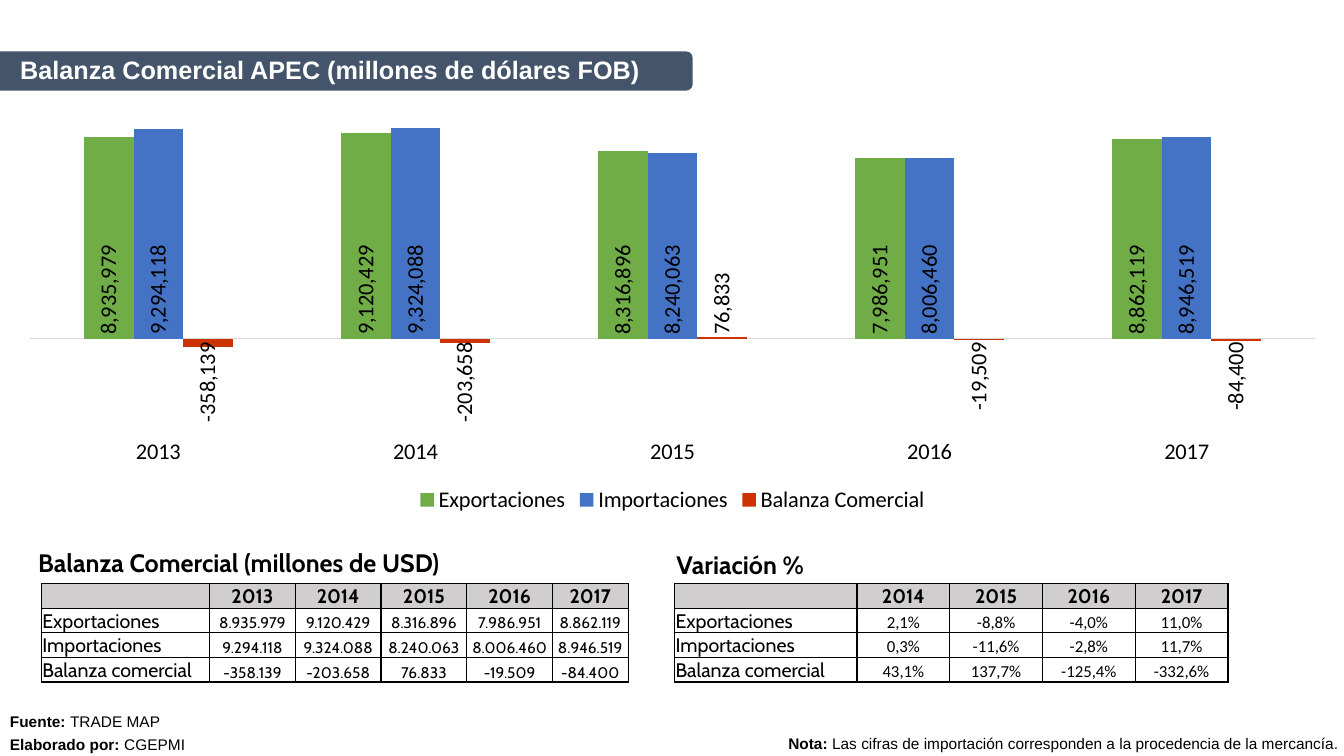
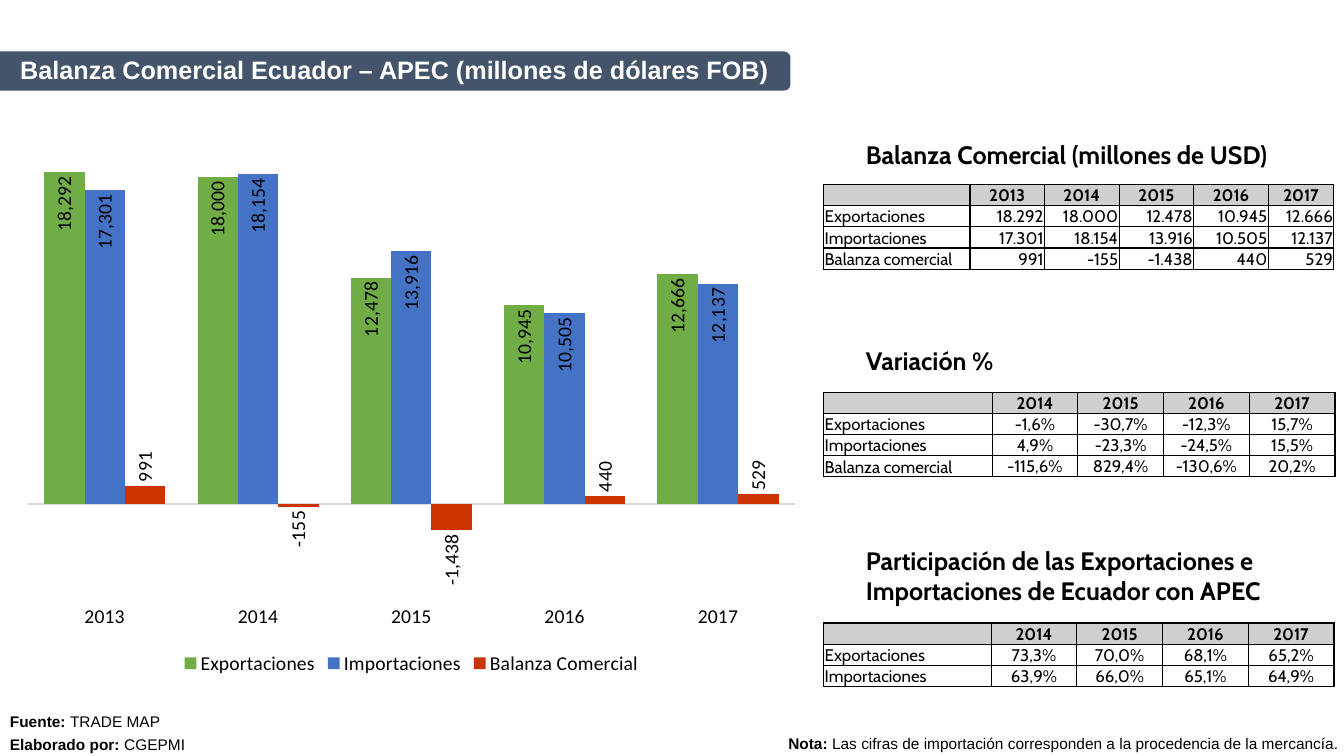
from dataclasses import dataclass

import pptx
import pptx.chart.data
import pptx.dml.color
import pptx.enum.chart
import pptx.enum.shapes
import pptx.enum.text
import pptx.oxml.ns
import pptx.util
from lxml import etree

Inches = pptx.util.Inches
Pt = pptx.util.Pt
Align = pptx.enum.text.PP_ALIGN
Anchor = pptx.enum.text.MSO_ANCHOR
LabelPosition = pptx.enum.chart.XL_LABEL_POSITION
qn = pptx.oxml.ns.qn


@dataclass(frozen=True)
class Theme:
    black: str = "000000"
    white: str = "FFFFFF"
    band: str = "44546A"
    header: str = "D0CECE"
    axis: str = "D9D9D9"
    series: tuple[str, ...] = ("70AD47", "4472C4", "CC3300")
    title_font: str = "Arial"
    table_font: str = "Cabin"
    chart_font: str = "Calibri"
    heading_size: int = 18
    footer_size: int = 11


@dataclass(frozen=True)
class Heading:
    text: str
    left: float
    top: float
    height: float = 0.4


@dataclass(frozen=True)
class Grid:
    """A table: years across the top, one named row of values per flow."""
    left: float
    top: float
    height: float
    widths: list[float]
    years: list[str]
    rows: list[list[str]]
    label_size: int = 12
    value_size: int = 12
    value_font: str = "Cabin"
    value_align: Align = Align.CENTER


@dataclass(frozen=True)
class ColumnChart:
    left: float
    top: float
    width: float
    height: float
    values: list[list[int]]
    label_positions: list[LabelPosition]
    text_size: int
    gap: int
    minimum: int | None = None


@dataclass(frozen=True)
class TradePage:
    title: str
    band_width: float
    chart: ColumnChart
    headings: list[Heading]
    grids: list[Grid]


THEME = Theme()
YEARS = ["2013", "2014", "2015", "2016", "2017"]
SERIES_NAMES = ["Exportaciones", "Importaciones", "Balanza Comercial"]
ROW_NAMES = ["Exportaciones", "Importaciones", "Balanza comercial"]
BAND_TOP, BAND_HEIGHT = 0.51, 0.39
THOUSAND = 1000

APEC_TRADE = [
    [8935979, 9120429, 8316896, 7986951, 8862119],
    [9294118, 9324088, 8240063, 8006460, 8946519],
    [-358139, -203658, 76833, -19509, -84400],
]
ECUADOR_TRADE = [
    [18292, 18000, 12478, 10945, 12666],
    [17301, 18154, 13916, 10505, 12137],
    [991, -155, -1438, 440, 529],
]


def dotted(values: list[list[int]]) -> list[list[str]]:
    """Write numbers with a point between thousands."""
    return [[f"{value:,}".replace(",", ".") for value in row] for row in values]


PAGES = [
    TradePage(
        title="Balanza Comercial APEC (millones de dólares FOB)",
        band_width=6.87,
        chart=ColumnChart(0.03, 1.04, 13.28, 4.1, APEC_TRADE,
                          [LabelPosition.INSIDE_BASE] * 3, 16, 219, -4000000),
        headings=[
            Heading("Balanza Comercial (millones de USD)", 0.28, 5.38),
            Heading("Variación %", 6.61, 5.4),
        ],
        grids=[
            Grid(0.41, 5.79, 0.97, [1.67] + [0.85] * 4 + [0.75], YEARS,
                 dotted(APEC_TRADE), label_size=14, value_size=11),
            Grid(6.69, 5.79, 0.97, [1.81] + [0.92] * 4, YEARS[1:], [
                ["2,1%", "-8,8%", "-4,0%", "11,0%"],
                ["0,3%", "-11,6%", "-2,8%", "11,7%"],
                ["43,1%", "137,7%", "-125,4%", "-332,6%"],
            ], label_size=14, value_font=THEME.chart_font),
        ],
    ),
    TradePage(
        title="Balanza Comercial Ecuador – APEC (millones de dólares FOB)",
        band_width=7.84,
        chart=ColumnChart(0.12, 1.29, 7.92, 5.45, ECUADOR_TRADE,
                          [LabelPosition.INSIDE_END] * 2 + [LabelPosition.OUTSIDE_END],
                          14, 80),
        headings=[
            Heading("Balanza Comercial (millones de USD)", 8.49, 1.33),
            Heading("Variación %", 8.49, 3.38),
            Heading("Participación de las Exportaciones e Importaciones de Ecuador con APEC",
                    8.49, 5.36, 0.71),
        ],
        grids=[
            Grid(8.17, 1.83, 0.84, [1.45] + [0.74] * 4 + [0.65], YEARS,
                 dotted(ECUADOR_TRADE), value_align=Align.RIGHT),
            Grid(8.17, 3.89, 0.84, [1.67] + [0.85] * 4, YEARS[1:], [
                ["-1,6%", "-30,7%", "-12,3%", "15,7%"],
                ["4,9%", "-23,3%", "-24,5%", "15,5%"],
                ["-115,6%", "829,4%", "-130,6%", "20,2%"],
            ]),
            Grid(8.17, 6.18, 0.63, [1.66] + [0.85] * 4, YEARS[1:], [
                ["73,3%", "70,0%", "68,1%", "65,2%"],
                ["63,9%", "66,0%", "65,1%", "64,9%"],
            ]),
        ],
    ),
]


def rgb(color: str) -> pptx.dml.color.RGBColor:
    return pptx.dml.color.RGBColor.from_string(color)


def style_font(font, name: str, size: int, color: str = THEME.black, bold: bool = False) -> None:
    font.name = name
    font.size = Pt(size)
    font.bold = bold
    font.color.rgb = rgb(color)


def add_text_box(page, left: float, top: float, width: float, height: float):
    frame = page.shapes.add_textbox(
        Inches(left), Inches(top), Inches(width), Inches(height)).text_frame
    frame.word_wrap = True
    return frame


def add_title(page, title: str, band_width: float) -> None:
    """Draw the band, a tall shape turned so its round end is at the right, and its title."""
    band = page.shapes.add_shape(
        pptx.enum.shapes.MSO_SHAPE.ROUND_2_SAME_RECTANGLE,
        Inches((band_width - BAND_HEIGHT) / 2),
        Inches(BAND_TOP + (BAND_HEIGHT - band_width) / 2),
        Inches(BAND_HEIGHT), Inches(band_width))
    band.rotation = 90
    band.shadow.inherit = False
    band.fill.solid()
    band.fill.fore_color.rgb = rgb(THEME.band)
    band.line.fill.background()
    frame = add_text_box(page, 0.12, 0.5, band_width - 0.12, 0.4)
    frame.word_wrap = False
    frame.margin_left = frame.margin_right = Inches(0.08)
    frame.margin_top = frame.margin_bottom = Inches(0.04)
    frame.text = title
    style_font(frame.paragraphs[0].runs[0].font, THEME.title_font,
               THEME.heading_size, THEME.white, True)


def add_heading(page, heading: Heading) -> None:
    frame = add_text_box(page, heading.left, heading.top, 4.53, heading.height)
    frame.text = heading.text
    style_font(frame.paragraphs[0].runs[0].font, THEME.table_font,
               THEME.heading_size, bold=True)


def add_labelled_text(paragraph, label: str, text: str) -> None:
    for words, bold in ((label, True), (text, False)):
        span = paragraph.add_run()
        span.text = words
        style_font(span.font, THEME.title_font, THEME.footer_size, bold=bold)


def add_footer(page) -> None:
    note = add_text_box(page, 7.72, 7.23, 5.61, 0.27)
    note.margin_right = 0
    add_labelled_text(note.paragraphs[0], "Nota: ",
                      "Las cifras de importación corresponden a la procedencia de la mercancía.")
    source = add_text_box(page, 0, 7.02, 3.01, 0.48)
    add_labelled_text(source.paragraphs[0], "Fuente: ", "TRADE MAP")
    author = source.add_paragraph()
    author.space_before = Pt(2.7)
    add_labelled_text(author, "Elaborado por: ", "CGEPMI")


def add_borders(cell) -> None:
    properties = cell._tc.get_or_add_tcPr()
    for index, side in enumerate(("a:lnL", "a:lnR", "a:lnT", "a:lnB")):
        line = etree.Element(qn(side), w=str(Pt(1)))
        fill = etree.SubElement(line, qn("a:solidFill"))
        etree.SubElement(fill, qn("a:srgbClr"), val=THEME.black)
        properties.insert(index, line)


def fill_cell(cell, text: str, font: str, size: int, align: Align,
              anchor: Anchor, header: bool) -> None:
    cell.margin_left = cell.margin_right = cell.margin_top = Inches(0.01)
    cell.margin_bottom = 0
    cell.vertical_anchor = anchor
    if header:
        cell.fill.solid()
        cell.fill.fore_color.rgb = rgb(THEME.header)
    else:
        cell.fill.background()
    add_borders(cell)
    paragraph = cell.text_frame.paragraphs[0]
    paragraph.alignment = align
    if text:
        paragraph.text = text
        style_font(paragraph.runs[0].font, font, size, bold=header)
    else:
        etree.SubElement(paragraph._p, qn("a:endParaRPr"), sz=str(size * 100))


def add_grid(page, grid: Grid) -> None:
    row_count = len(grid.rows) + 1
    table = page.shapes.add_table(
        row_count, len(grid.widths), Inches(grid.left), Inches(grid.top),
        Inches(sum(grid.widths)), Inches(grid.height)).table
    table.first_row = table.horz_banding = False
    for column, width in zip(table.columns, grid.widths):
        column.width = Inches(width)
    for row in table.rows:
        row.height = Inches(grid.height / row_count)
    lines = [["", *grid.years]] + [[name, *row] for name, row in zip(ROW_NAMES, grid.rows)]
    for row_index, line in enumerate(lines):
        for column_index, text in enumerate(line):
            cell = table.cell(row_index, column_index)
            if row_index == 0:
                fill_cell(cell, text, THEME.table_font, grid.label_size,
                          Align.CENTER, Anchor.MIDDLE, True)
            elif column_index == 0:
                fill_cell(cell, text, THEME.table_font, grid.label_size,
                          Align.LEFT, Anchor.MIDDLE, False)
            else:
                fill_cell(cell, text, grid.value_font, grid.value_size,
                          grid.value_align, Anchor.BOTTOM, False)


def add_column_chart(page, design: ColumnChart) -> None:
    data = pptx.chart.data.CategoryChartData(number_format="#,###,")
    data.categories = YEARS
    for name, values in zip(SERIES_NAMES, design.values):
        data.add_series(name, [value * THOUSAND for value in values])
    chart = page.shapes.add_chart(
        pptx.enum.chart.XL_CHART_TYPE.COLUMN_CLUSTERED,
        Inches(design.left), Inches(design.top),
        Inches(design.width), Inches(design.height), data).chart
    chart.has_title = False
    style_font(chart.font, THEME.chart_font, design.text_size)
    chart.has_legend = True
    chart.legend.position = pptx.enum.chart.XL_LEGEND_POSITION.BOTTOM
    chart.legend.include_in_layout = False
    style_font(chart.legend.font, THEME.chart_font, design.text_size)

    years = chart.category_axis
    years.tick_label_position = pptx.enum.chart.XL_TICK_LABEL_POSITION.LOW
    years.major_tick_mark = pptx.enum.chart.XL_TICK_MARK.NONE
    years.format.line.color.rgb = rgb(THEME.axis)
    years.format.line.width = Pt(0.75)
    style_font(years.tick_labels.font, THEME.chart_font, design.text_size)
    chart.value_axis.visible = False
    chart.value_axis.has_major_gridlines = False
    if design.minimum is not None:
        chart.value_axis.minimum_scale = design.minimum * THOUSAND

    plot = chart.plots[0]
    plot.gap_width = design.gap
    plot.vary_by_categories = False
    for series, color, position in zip(plot.series, THEME.series, design.label_positions):
        series.invert_if_negative = False
        series.format.fill.solid()
        series.format.fill.fore_color.rgb = rgb(color)
        labels = series.data_labels
        labels.show_value = True
        labels.number_format = "#,###,"
        labels.number_format_is_linked = False
        labels.position = position
        style_font(labels.font, THEME.chart_font, design.text_size)
        body = labels._element.find(qn("c:txPr")).find(qn("a:bodyPr"))
        body.set("rot", "-5400000")
        body.set("vert", "horz")


def main() -> None:
    deck = pptx.Presentation()
    deck.slide_width, deck.slide_height = Inches(13.33), Inches(7.5)
    for design in PAGES:
        page = deck.slides.add_slide(deck.slide_layouts[6])
        add_footer(page)
        for grid in design.grids:
            add_grid(page, grid)
        for heading in design.headings:
            add_heading(page, heading)
        add_column_chart(page, design.chart)
        add_title(page, design.title, design.band_width)
    deck.save("out.pptx")


if __name__ == "__main__":
    main()
